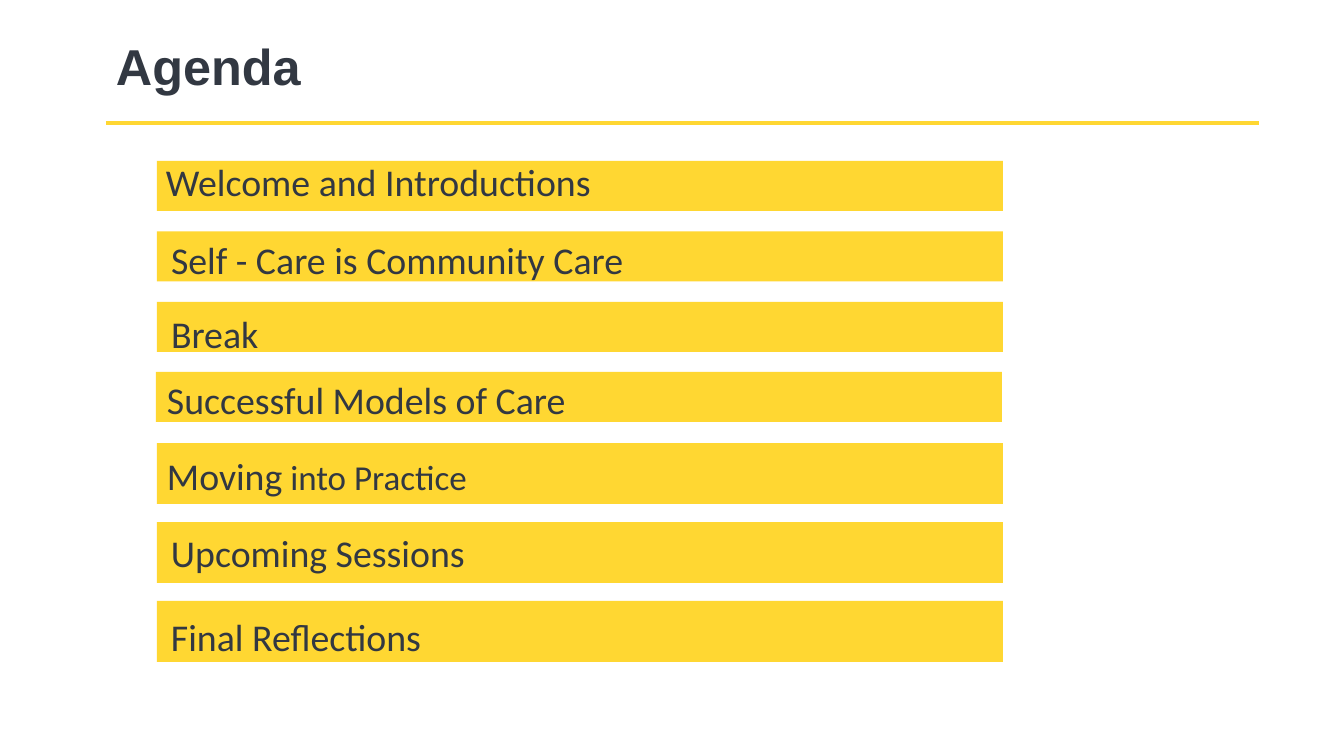
from pptx import Presentation
from pptx.dml.color import RGBColor
from pptx.enum.shapes import MSO_CONNECTOR, MSO_SHAPE
from pptx.enum.text import MSO_ANCHOR
from pptx.oxml.ns import qn
from pptx.util import Emu, Pt
from lxml.etree import SubElement

GOLD = RGBColor(0xFF, 0xD7, 0x32)
SLATE = RGBColor(0x32, 0x38, 0x42)


def px(*sizes):
    return [Emu(round(size * 914400 / 100.8)) for size in sizes]


def add_text(box, parts, font, inset=5):
    label = slide.shapes.add_textbox(*px(*box))
    frame = label.text_frame
    frame.word_wrap = True
    frame.margin_left, frame.margin_right = px(10, 10)
    frame.margin_top, frame.margin_bottom = px(inset, inset)
    for text, size in parts:
        run = frame.paragraphs[0].add_run()
        run.text = text
        run.font.name = font
        run.font.size = Pt(size)
        run.font.color.rgb = SLATE
    return frame


deck = Presentation()
deck.slide_width, deck.slide_height = px(1344, 756)
slide = deck.slides.add_slide(deck.slide_layouts[6])

title = add_text((106, 34, 863, 70), [("Agenda", 36)], "Arial")
title.vertical_anchor = MSO_ANCHOR.MIDDLE
title.paragraphs[0].line_spacing = 0.9
title.paragraphs[0].runs[0].font.bold = True

rule = slide.shapes.add_connector(MSO_CONNECTOR.STRAIGHT, *px(106, 123, 1259, 123))
rule.line.color.rgb = GOLD
rule.line.width = Pt(3)
SubElement(rule._element.spPr, qn("a:effectLst"))

bars = [(157, 161 + 70.5 * row, 846, 50) for row in range(4)]
bars[3] = (156, 372, 846, 50)
bars += [(157, 443 + 79 * row, 846, 61) for row in range(3)]
for box in bars:
    bar = slide.shapes.add_shape(MSO_SHAPE.RECTANGLE, *px(*box))
    bar.shadow.inherit = False
    bar.fill.solid()
    bar.fill.fore_color.rgb = GOLD
    bar.line.fill.background()

items = [
    ((156, 154, 813, 57), [("Welcome and Introductions", 27)], 5),
    ((161, 232, 822, 56), [("Self - Care is Community Care", 27)], 5),
    ((161, 301, 436, 67), [("Break", 27)], 10),
    ((157, 372, 825, 102), [("Successful Models of Care", 27)], 5),
    ((157, 448, 826, 56), [("Moving", 27), (" into Practice", 25)], 5),
    ((161, 525, 821, 56), [("Upcoming Sessions", 27)], 5),
    ((161, 609, 821, 56), [("Final Reflections", 27)], 5),
]
for box, parts, inset in items:
    add_text(box, parts, "Calibri", inset)

deck.save("out.pptx")
